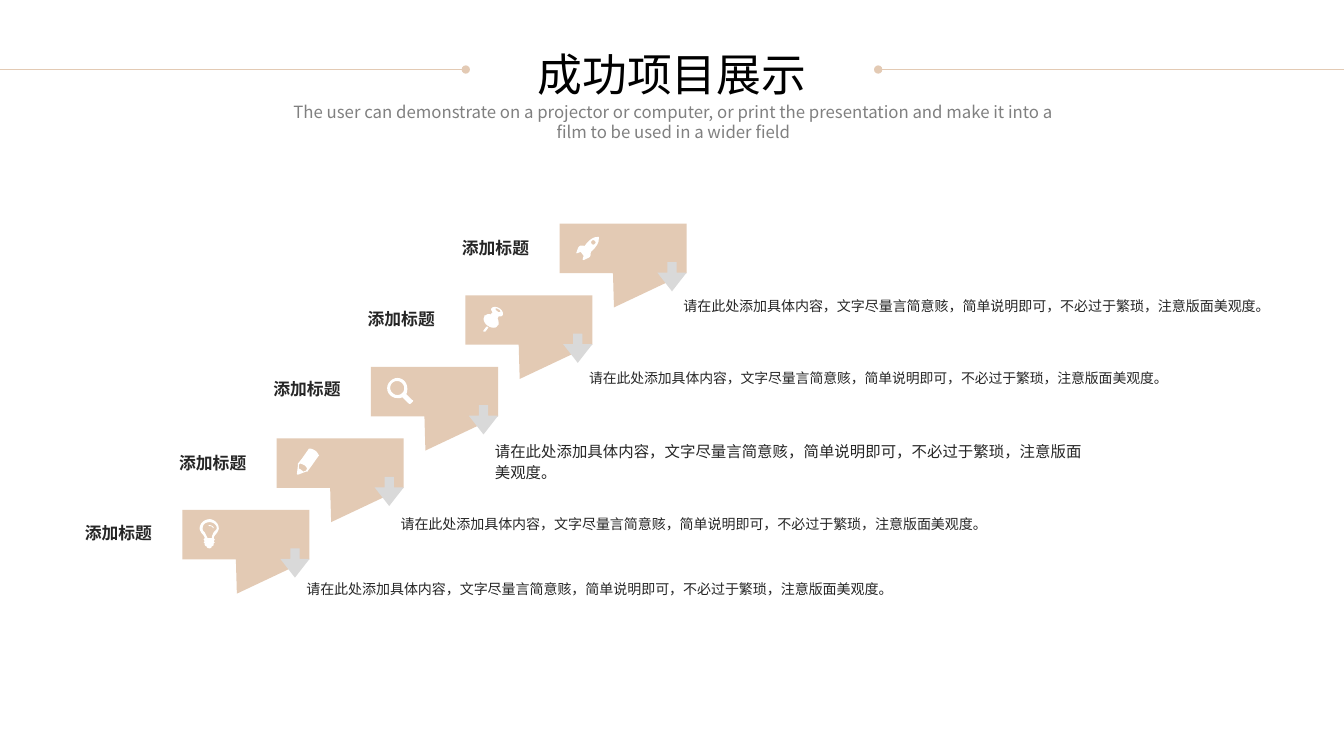
"""Build a slide with five ascending project steps, each with an icon, label and note."""
import lxml.etree
import pptx
import pptx.dml.color
import pptx.enum.shapes
import pptx.enum.text
import pptx.oxml.ns
import pptx.util

Inches = pptx.util.Inches
RGBColor = pptx.dml.color.RGBColor
ALIGN = pptx.enum.text.PP_ALIGN

FONT = "Noto Sans CJK SC"
SAND = RGBColor(0xE3, 0xCA, 0xB4)
ARROW_GRAY = RGBColor(0xD9, 0xD9, 0xD9)
WHITE = RGBColor(0xFF, 0xFF, 0xFF)
BLACK = RGBColor(0, 0, 0)
DARK = RGBColor(0x26, 0x26, 0x26)
GRAY = RGBColor(0x80, 0x80, 0x80)

TITLE = "成功项目展示"
SUBTITLE = ("The user can demonstrate on a projector or computer, or print the presentation "
            "and make it into a film to be used in a wider field")
LABEL = "添加标题"
NOTE = "请在此处添加具体内容，文字尽量言简意赅，简单说明即可，不必过于繁琐，注意版面美观度。"

# Outlines are in hundredths of an inch: pairs are corners, sextuples are Bézier curves.
BUBBLE = [[(54, 83), (53, 49), (0, 49), (0, 0), (126, 0), (126, 49)]]
BULB = [
    [(13, 9), (13, 7, 11, 7, 10, 7), (9, 7, 9, 7, 9, 6), (10, 6), (11, 6, 14, 7, 14, 9)],
    [(10, 3), (6, 3, 3, 5, 3, 9), (3, 10, 3, 11, 4, 12), (5, 13), (6, 15, 7, 17, 8, 19),
     (12, 19), (12, 17, 13, 15, 14, 13), (15, 12), (16, 11, 17, 10, 17, 9),
     (17, 5, 13, 3, 10, 3)],
    [(17, 14), (16, 15, 14, 17, 14, 19), (15, 20), (14, 22), (15, 23), (14, 24), (14, 25),
     (14, 26, 13, 27, 12, 27), (12, 28, 11, 29, 10, 29), (8, 29, 7, 28, 7, 27),
     (6, 27, 5, 26, 5, 25), (5, 24), (4, 23), (5, 22), (4, 20), (5, 19),
     (5, 17, 3, 15, 2, 14), (1, 12, 0, 11, 0, 9), (0, 4, 5, 0, 10, 0),
     (14, 0, 19, 4, 19, 9), (19, 11, 18, 12, 17, 14)],
]
PENCIL = [
    [(9, 22), (6, 23), (6, 22, 5, 22, 4, 21), (4, 21, 3, 20, 2, 20), (2, 16), (3, 15),
     (3, 15, 5, 15, 8, 17), (10, 19, 10, 20, 10, 20)],
    [(18, 2), (15, 0, 13, 0, 12, 0), (5, 10), (1, 15), (1, 16, 1, 16, 1, 17), (0, 25),
     (0, 26, 1, 26, 1, 26), (9, 23), (10, 23, 11, 23, 11, 22), (14, 18), (21, 8),
     (22, 7), (21, 6, 21, 4, 18, 2)],
]
MAGNIFIER = [
    [(3, 10), (3, 6, 6, 3, 10, 3), (14, 3, 17, 7, 17, 10), (17, 14, 14, 17, 10, 17),
     (7, 17, 3, 14, 3, 10)],
    [(25, 22), (19, 16), (20, 14, 20, 12, 20, 10), (20, 5, 16, 0, 10, 0),
     (5, 0, 0, 5, 0, 10), (0, 16, 5, 20, 10, 20), (12, 20, 14, 20, 15, 19), (21, 25),
     (22, 26, 23, 26, 24, 25), (25, 24), (26, 23, 26, 22, 25, 22)],
]
PIN = [
    [(14, 5), (12, 4, 12, 3, 12, 2), (13, 2, 14, 2, 15, 3), (16, 3, 17, 5, 17, 5),
     (16, 6, 15, 6, 14, 5)],
    [(15, 18), (15, 17), (15, 15, 15, 14, 14, 12), (15, 10), (17, 10, 18, 10, 19, 9),
     (20, 7, 19, 4, 16, 2), (13, 0, 9, 0, 8, 2), (7, 3, 8, 4, 9, 6), (7, 8),
     (5, 7, 3, 8, 2, 9), (1, 9), (1, 10), (-1, 13, 1, 17, 4, 19),
     (8, 22, 13, 22, 14, 19)],
    [(3, 20), (0, 24), (0, 25), (2, 25), (5, 21), (4, 20)],
]
ROCKET = [
    [(15, 7), (14, 6, 14, 5, 15, 4), (16, 3, 17, 3, 18, 4), (19, 5, 19, 6, 18, 7),
     (17, 8, 16, 8, 15, 7)],
    [(14, 15), (14, 15, 23, 8, 22, 1), (22, 0), (14, -1, 8, 9, 8, 9),
     (2, 8, 2, 9, 0, 15), (-1, 16, 0, 17, 1, 16), (4, 15), (7, 19),
     (7, 19, 6, 21, 6, 22), (6, 23, 6, 23, 7, 23), (13, 20, 14, 21, 14, 15)],
]

STEPS = [
    {"icon": BULB, "icon_at": (0.17, 0.09), "label_top": 5.13, "note": (5.67, 6.64, 0.51), "size": 10},
    {"icon": PENCIL, "icon_at": (0.2, 0.1), "label_top": 4.43, "note": (5.02, 6.54, 0.66), "size": 10},
    {"icon": MAGNIFIER, "icon_at": (0.16, 0.11), "label_top": 3.7, "note": (4.31, 6.14, 0.56), "size": 11},
    {"icon": PIN, "icon_at": (0.18, 0.11), "label_top": 3.01, "note": (3.58, 5.94, 0.47), "size": 9.9},
    {"icon": ROCKET, "icon_at": (0.17, 0.13), "label_top": 2.3, "note": (2.86, 5.92, 0.57), "size": 10},
]
FIRST_LEFT, FIRST_TOP = 1.81, 5.06
STEP_RIGHT, STEP_UP = 0.935, 0.71
RULES = [(0, 4.62, "tailEnd"), (8.71, 13.33, "headEnd")]
RULE_TOP = 0.69


def write_text(shape, text, *, box, size, color, spacing, bold=False, align=ALIGN.LEFT, wrap=True):
    """Place a text shape and fill it with one formatted paragraph."""
    shape.left, shape.top, shape.width, shape.height = map(Inches, box)
    frame = shape.text_frame
    frame.auto_size = pptx.enum.text.MSO_AUTO_SIZE.NONE
    frame.word_wrap = wrap
    frame.vertical_anchor = pptx.enum.text.MSO_ANCHOR.TOP
    paragraph = frame.paragraphs[0]
    paragraph.alignment = align
    paragraph.line_spacing = pptx.util.Pt(spacing)
    paragraph.space_before = pptx.util.Pt(0)
    run = paragraph.add_run()
    run.text = text
    run.font.size = pptx.util.Pt(size)
    run.font.bold = bold
    run.font.color.rgb = color
    run.font.name = FONT
    east_asian = lxml.etree.SubElement(run._r.get_or_add_rPr(), pptx.oxml.ns.qn("a:ea"))
    east_asian.set("typeface", FONT)


def paint(shape, color):
    """Give a shape a flat fill with no outline or shadow."""
    shape.fill.solid()
    shape.fill.fore_color.rgb = color
    shape.line.fill.background()
    shape.shadow.inherit = False


def trace(contour):
    """Turn corners and curves into a list of points in EMU."""
    points = []
    for segment in contour:
        if len(segment) == 2:
            points.append(segment)
            continue
        controls = [points[-1], segment[:2], segment[2:4], segment[4:]]
        for part in range(1, 7):
            t = part / 6
            weights = ((1 - t) ** 3, 3 * t * (1 - t) ** 2, 3 * t ** 2 * (1 - t), t ** 3)
            points.append(tuple(sum(w * c[axis] for w, c in zip(weights, controls)) for axis in (0, 1)))
    return [(Inches(x / 100), Inches(y / 100)) for x, y in points]


def add_outline(shapes, contours, left, top, color):
    """Draw closed contours as one freeform."""
    builder = None
    for contour in contours:
        points = trace(contour)
        if builder is None:
            builder = shapes.build_freeform(*points[0], scale=1.0)
        else:
            builder.move_to(*points[0])
        builder.add_line_segments(points[1:], close=True)
    paint(builder.convert_to_shape(Inches(left), Inches(top)), color)


def add_step(slide, index, step):
    """Add one stair step with its icon, arrow, label and note."""
    shapes = slide.shapes.add_group_shape().shapes
    left = FIRST_LEFT + index * STEP_RIGHT
    top = FIRST_TOP - index * STEP_UP
    add_outline(shapes, BUBBLE, left, top, SAND)
    add_outline(shapes, step["icon"], left + step["icon_at"][0], top + step["icon_at"][1], WHITE)
    arrow = shapes.add_shape(pptx.enum.shapes.MSO_SHAPE.RIGHT_ARROW, Inches(left + 0.97),
                             Inches(top + 0.38), Inches(0.29), Inches(0.29))
    arrow.rotation = 90
    arrow.adjustments[0], arrow.adjustments[1] = 0.32, 0.64
    paint(arrow, ARROW_GRAY)
    write_text(shapes.add_textbox(0, 0, 0, 0), LABEL, box=(left - 1.24, step["label_top"], 1.21, 0.3),
               size=12, color=DARK, spacing=15, bold=True, align=ALIGN.CENTER, wrap=False)
    note_top, width, height = step["note"]
    write_text(shapes.add_textbox(0, 0, 0, 0), NOTE, box=(left + 1.13, note_top, width, height),
               size=step["size"], color=DARK, spacing=15)


def add_rule(slide, start, end, dot_end):
    """Add a thin title rule with a dot at its inner end."""
    rule = slide.shapes.add_connector(pptx.enum.shapes.MSO_CONNECTOR.STRAIGHT, Inches(start),
                                      Inches(RULE_TOP), Inches(end), Inches(RULE_TOP))
    rule.line.color.rgb = SAND
    rule.line.width = pptx.util.Pt(0.5)
    line = rule.line._get_or_add_ln()
    lxml.etree.SubElement(line, pptx.oxml.ns.qn("a:" + dot_end)).set("type", "oval")
    lxml.etree.SubElement(rule._element.spPr, pptx.oxml.ns.qn("a:effectLst"))


def main():
    """Build and save the presentation."""
    presentation = pptx.Presentation()
    presentation.slide_width, presentation.slide_height = Inches(13.33), Inches(7.5)
    slide = presentation.slides.add_slide(presentation.slide_layouts[0])
    write_text(slide.shapes.title, TITLE, box=(5.23, 0.38, 2.87, 0.64), size=32, color=BLACK,
               spacing=41, align=ALIGN.CENTER, wrap=False)
    write_text(slide.placeholders[1], SUBTITLE, box=(2.75, 0.96, 7.86, 0.5), size=12, color=GRAY,
               spacing=14.4, align=ALIGN.CENTER)
    for index, step in enumerate(STEPS):
        add_step(slide, index, step)
    for rule in RULES:
        add_rule(slide, *rule)
    presentation.save("out.pptx")


if __name__ == "__main__":
    main()
